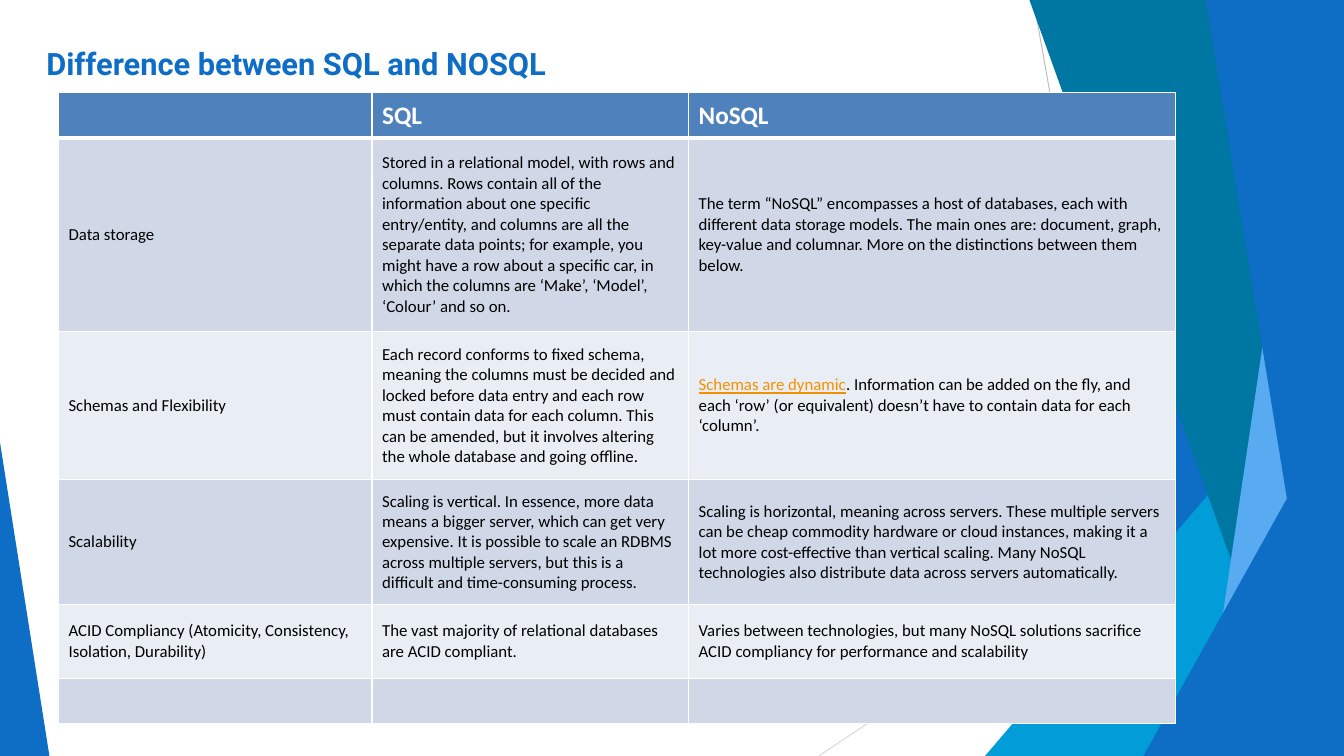
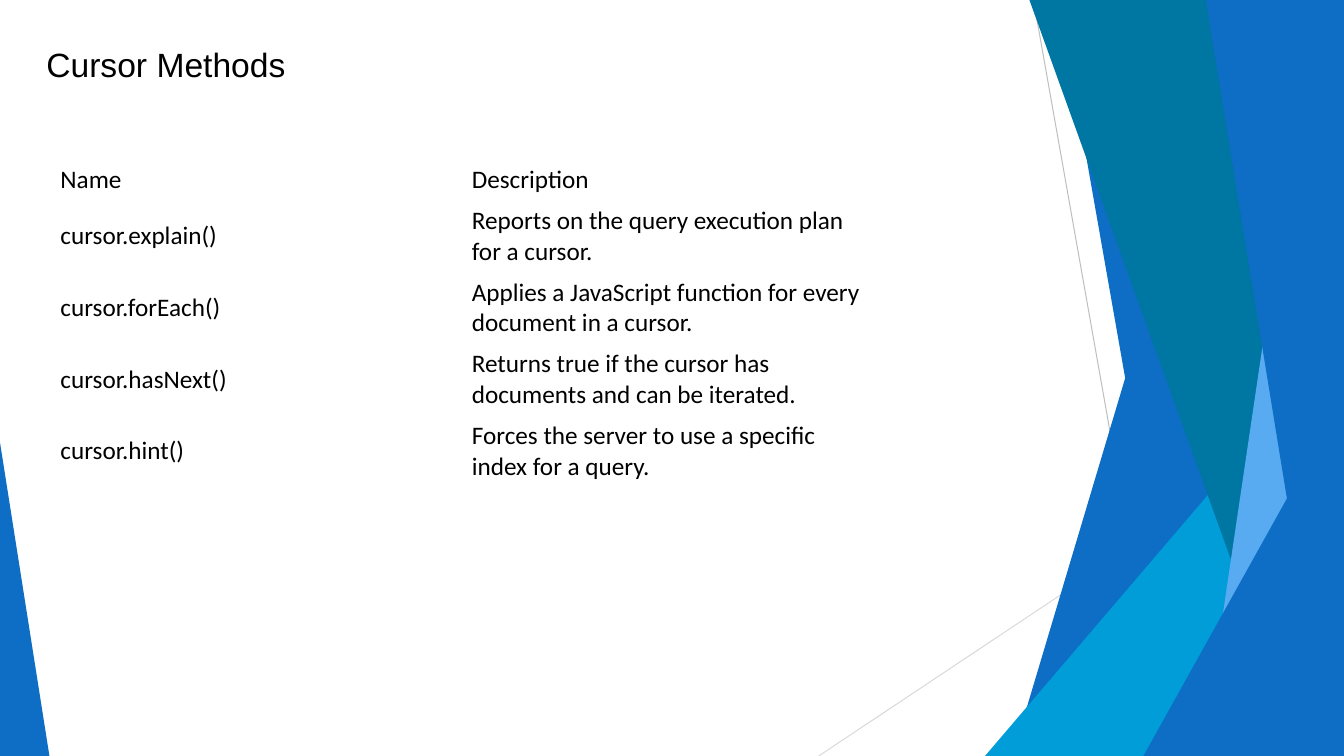
from dataclasses import dataclass
from typing import Optional

from lxml.etree import SubElement
from pptx import Presentation
from pptx.dml.color import RGBColor
from pptx.enum.shapes import MSO_CONNECTOR as Connector
from pptx.enum.text import MSO_ANCHOR as Anchor
from pptx.oxml import parse_xml
from pptx.oxml.ns import nsdecls, qn
from pptx.util import Inches, Pt

WIDTH, HEIGHT = 13.33, 7.5


@dataclass(frozen=True)
class Theme:
    blue: str = "0E6EC5"
    sky: str = "009DD9"
    teal: str = "0076A2"
    light_blue: str = "58AAF1"
    dark_hairline: str = "BEBEBE"
    light_hairline: str = "D9D9D9"
    white: str = "FFFFFF"
    black: str = "000000"
    link: str = "F49100"
    header: str = "4F81BD"
    bands: tuple[str, str] = ("D0D8E8", "E9EDF4")
    table_font: str = "Calibri"
    comparison_title: float = 22
    cursor_title: float = 24
    large: float = 18
    small: float = 12
    hairline: float = 0.72
    border: float = 1
    header_border: float = 3


THEME = Theme()


@dataclass(frozen=True)
class TextStyle:
    font: str
    size: float
    color: str
    bold: bool = False


@dataclass(frozen=True)
class Run:
    text: str
    color: Optional[str] = None
    underline: bool = False


@dataclass(frozen=True)
class Hairline:
    start: tuple[float, float]
    end: tuple[float, float]
    color: str


@dataclass(frozen=True)
class Facet:
    color: str
    points: tuple[tuple[float, float], ...]


@dataclass(frozen=True)
class TableLayout:
    left: float
    top: float
    columns: tuple[float, ...]
    rows: tuple[float, ...]


Cell = str | tuple[Run, ...]
Rows = tuple[tuple[Cell, ...], ...]

HAIRLINES = (
    Hairline((10.25, 0), (11.58, HEIGHT), THEME.dark_hairline),
    Hairline((WIDTH, 4.03), (8.12, HEIGHT), THEME.light_hairline),
)


def right_facet(color: str, top_x: float, bottom_x: float, top: float = 0) -> Facet:
    """A facet that fills everything from a slanted edge to the right slide edge."""
    return Facet(color, ((WIDTH, top), (top_x, top), (bottom_x, HEIGHT), (WIDTH, HEIGHT)))


FACETS = (
    right_facet(THEME.blue, 12.28, 10.04),
    right_facet(THEME.blue, 10.5, 11.82),
    right_facet(THEME.sky, WIDTH, 9.77, top=3.33),
    right_facet(THEME.teal, 10.21, 12.91),
    right_facet(THEME.light_blue, 13.03, 11.92),
    right_facet(THEME.blue, 11.96, 13.18),
    right_facet(THEME.blue, WIDTH, 11.34, top=3.93),
    Facet(THEME.blue, ((0, 4.39), (0, HEIGHT), (0.49, HEIGHT))),
)

HEADER_TEXT = TextStyle(THEME.table_font, THEME.large, THEME.white, bold=True)
LARGE_TEXT = TextStyle(THEME.table_font, THEME.large, THEME.black)
SMALL_TEXT = TextStyle(THEME.table_font, THEME.small, THEME.black)

COMPARISON_TITLE = TextStyle("Roboto", THEME.comparison_title, THEME.blue, bold=True)
COMPARISON_LAYOUT = TableLayout(
    0.58, 0.92, (3.11, 3.14, 4.83), (0.45, 1.92, 1.47, 1.24, 0.73, 0.45))
COMPARISON: Rows = (
    ("", "SQL", "NoSQL"),
    ("Data storage",
     "Stored in a relational model, with rows and columns. Rows contain all of the "
     "information about one specific entry/entity, and columns are all the separate data "
     "points; for example, you might have a row about a specific car, in which the columns "
     "are ‘Make’, ‘Model’, ‘Colour’ and so on.",
     "The term “NoSQL” encompasses a host of databases, each with different data storage "
     "models. The main ones are: document, graph, key-value and columnar. More on the "
     "distinctions between them below."),
    ("Schemas and Flexibility",
     "Each record conforms to fixed schema, meaning the columns must be decided and locked "
     "before data entry and each row must contain data for each column. This can be amended, "
     "but it involves altering the whole database and going offline.",
     (Run("Schemas are dynamic", THEME.link, underline=True),
      Run(". Information can be added on the fly, and each ‘row’ (or equivalent) doesn’t "
          "have to contain data for each ‘column’."))),
    ("Scalability",
     "Scaling is vertical. In essence, more data means a bigger server, which can get very "
     "expensive. It is possible to scale an RDBMS across multiple servers, but this is a "
     "difficult and time-consuming process.",
     "Scaling is horizontal, meaning across servers. These multiple servers can be cheap "
     "commodity hardware or cloud instances, making it a lot more cost-effective than "
     "vertical scaling. Many NoSQL technologies also distribute data across servers "
     "automatically."),
    ("ACID Compliancy (Atomicity, Consistency, Isolation, Durability)",
     "The vast majority of relational databases are ACID compliant.",
     "Varies between technologies, but many NoSQL solutions sacrifice ACID compliancy for "
     "performance and scalability"),
    ("", "", ""),
)

CURSOR_TITLE = TextStyle("Arial", THEME.cursor_title, THEME.black)
CURSOR_LAYOUT = TableLayout(0.5, 1.58, (4.08, 4.08), (0.41,) + (0.71,) * 4)
CURSOR_METHODS: Rows = (
    ("Name", "Description"),
    ("cursor.explain()", "Reports on the query execution plan for a cursor."),
    ("cursor.forEach()", "Applies a JavaScript function for every document in a cursor."),
    ("cursor.hasNext()", "Returns true if the cursor has documents and can be iterated."),
    ("cursor.hint()", "Forces the server to use a specific index for a query."),
)


def rgb(color: str) -> RGBColor:
    return RGBColor.from_string(color)


def add_runs(paragraph, content: Cell, style: TextStyle) -> None:
    runs = (Run(content),) if isinstance(content, str) else content
    for item in runs:
        run = paragraph.add_run()
        run.text = item.text
        font = run.font
        font.name, font.size, font.bold = style.font, Pt(style.size), style.bold
        font.color.rgb = rgb(item.color or style.color)
        if item.underline:
            font.underline = True


def add_backdrop(slide) -> None:
    for hairline in HAIRLINES:
        ends = [Inches(value) for value in hairline.start + hairline.end]
        connector = slide.shapes.add_connector(Connector.STRAIGHT, *ends)
        connector.line.color.rgb = rgb(hairline.color)
        connector.line.width = Pt(THEME.hairline)
        SubElement(connector._element.spPr, qn("a:effectLst"))
    for facet in FACETS:
        first, *others = [(Inches(x), Inches(y)) for x, y in facet.points]
        builder = slide.shapes.build_freeform(*first)
        builder.add_line_segments(others, close=True)
        shape = builder.convert_to_shape()
        shape.shadow.inherit = False
        shape.fill.solid()
        shape.fill.fore_color.rgb = rgb(facet.color)
        shape.line.fill.background()


def add_title(slide, text: str, style: TextStyle) -> None:
    box = slide.shapes.add_textbox(Inches(0.46), Inches(0.44), Inches(12.4), Inches(0.4))
    frame = box.text_frame
    frame.word_wrap = True
    frame.margin_left = frame.margin_top = frame.margin_right = frame.margin_bottom = 0
    add_runs(frame.paragraphs[0], text, style)


def new_slide(presentation, title: str, style: TextStyle):
    slide = presentation.slides.add_slide(presentation.slide_layouts[6])
    add_backdrop(slide)
    add_title(slide, title, style)
    return slide


def add_plain_table(slide, layout: TableLayout, rows: Rows,
                    header: TextStyle, body: TextStyle):
    """Add a table with text but without fills or banding."""
    table = slide.shapes.add_table(
        len(layout.rows), len(layout.columns), Inches(layout.left), Inches(layout.top),
        Inches(sum(layout.columns)), Inches(sum(layout.rows))).table
    table.first_row = table.horz_banding = False
    for column, width in zip(table.columns, layout.columns):
        column.width = Inches(width)
    for index, (row, height, contents) in enumerate(zip(table.rows, layout.rows, rows)):
        row.height = Inches(height)
        for cell, content in zip(row.cells, contents):
            cell.fill.background()
            cell.vertical_anchor = Anchor.MIDDLE
            if content:
                add_runs(cell.text_frame.paragraphs[0], content, body if index else header)
    return table


def set_borders(cell, top: float, bottom: float) -> None:
    properties = cell._tc.get_or_add_tcPr()
    sides = (("L", THEME.border), ("R", THEME.border), ("T", top), ("B", bottom))
    for position, (side, width) in enumerate(sides):
        properties.insert(position, parse_xml(
            f'<a:ln{side} {nsdecls("a")} w="{Pt(width)}"><a:solidFill>'
            f'<a:srgbClr val="{THEME.white}"/></a:solidFill></a:ln{side}>'))


def color_bands(table) -> None:
    """Fill the header and alternate rows, with a thick rule under the header."""
    for index, row in enumerate(table.rows):
        color = THEME.bands[(index - 1) % 2] if index else THEME.header
        top = THEME.header_border if index == 1 else THEME.border
        bottom = THEME.header_border if index == 0 else THEME.border
        for cell in row.cells:
            cell.fill.solid()
            cell.fill.fore_color.rgb = rgb(color)
            set_borders(cell, top, bottom)


def main() -> None:
    presentation = Presentation()
    presentation.slide_width, presentation.slide_height = Inches(WIDTH), Inches(HEIGHT)

    slide = new_slide(presentation, "Difference between SQL and NOSQL", COMPARISON_TITLE)
    color_bands(add_plain_table(slide, COMPARISON_LAYOUT, COMPARISON, HEADER_TEXT, SMALL_TEXT))

    slide = new_slide(presentation, "Cursor Methods", CURSOR_TITLE)
    add_plain_table(slide, CURSOR_LAYOUT, CURSOR_METHODS, LARGE_TEXT, LARGE_TEXT)

    presentation.save("out.pptx")


if __name__ == "__main__":
    main()
